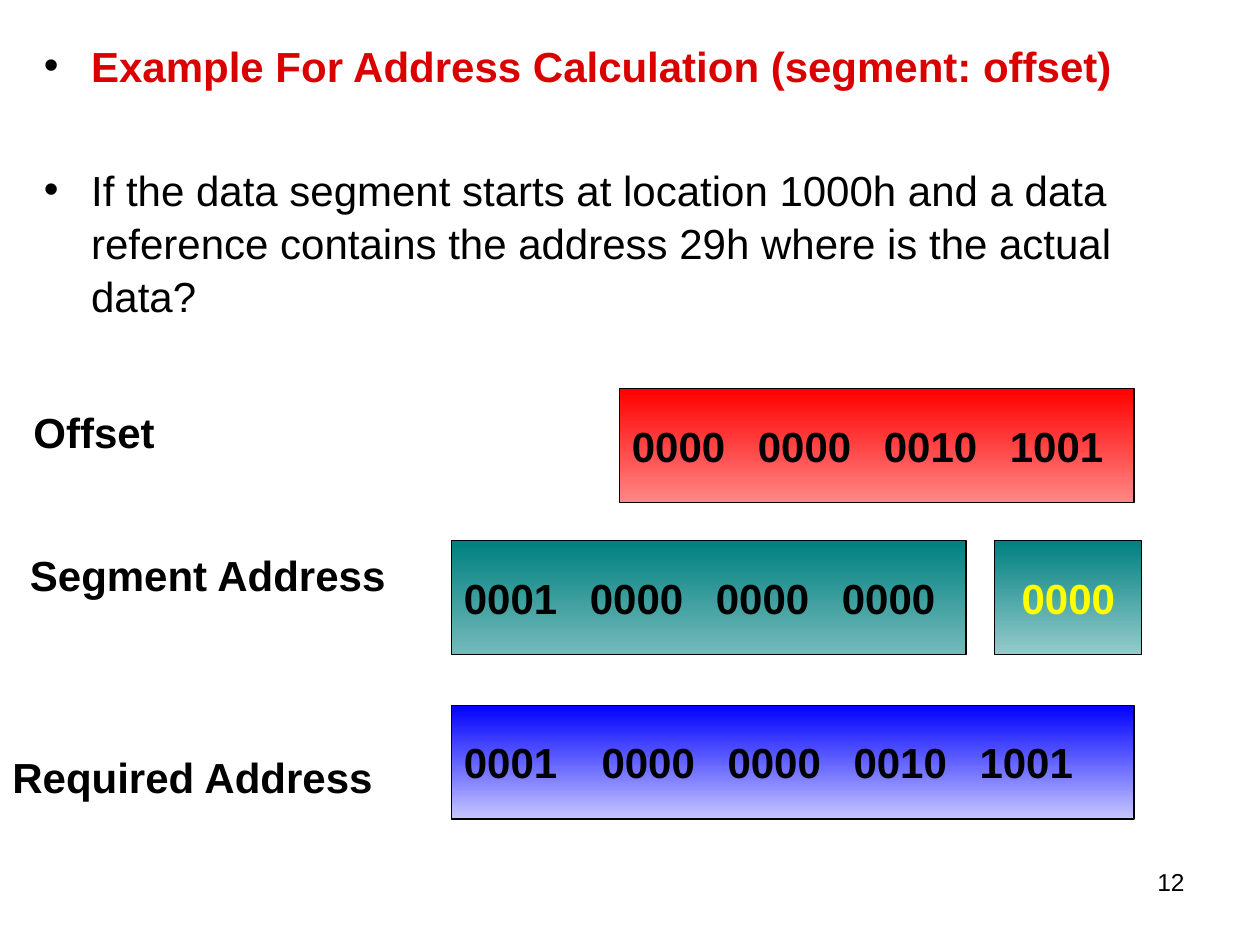
from typing import NamedTuple

from lxml import etree
from pptx import Presentation
from pptx.dml.color import RGBColor
from pptx.enum.shapes import MSO_SHAPE
from pptx.enum.text import MSO_ANCHOR, PP_ALIGN
from pptx.oxml.ns import qn
from pptx.util import Pt

RECTANGLE = MSO_SHAPE.RECTANGLE
MIDDLE = MSO_ANCHOR.MIDDLE
LEFT, CENTER, RIGHT = PP_ALIGN.LEFT, PP_ALIGN.CENTER, PP_ALIGN.RIGHT

COLORS = {
    "black": "000000",
    "heading": "DA0000",
    "yellow": "FFFF00",
    "red": "FF0000",
    "light red": "FF8686",
    "teal": "008080",
    "light teal": "75BABA",
    "pale teal": "96CBCB",
    "blue": "0000FF",
    "light blue": "C6C6FF",
}
TAB_STEP = 72
BULLET_INDENT = 27


class Box(NamedTuple):
    left: float
    top: float
    width: float
    height: float


class Label(NamedTuple):
    text: str
    box: Box


class Register(NamedTuple):
    bits: str
    box: Box
    top_color: str
    bottom_color: str
    text_color: str = "black"
    align: PP_ALIGN = LEFT


class Bullet(NamedTuple):
    text: str
    color: str
    bold: bool
    space_before: float


BULLETS = [
    Bullet("Example For Address Calculation (segment: offset)", "heading", True, 0),
    Bullet(
        "If the data segment starts at location 1000h and a data reference "
        "contains the address 29h where is the actual data?",
        "black", False, 40.7,
    ),
]
LABELS = [
    Label("Required Address", Box(0, 426, 234, 36)),
    Label("Offset", Box(12, 229, 156, 36)),
    Label("Segment Address", Box(10, 310.3, 228, 36)),
]
REGISTERS = [
    Register("0000\t0000\t0010\t1001", Box(354, 222, 294, 65), "red", "light red"),
    Register("0000", Box(568.5, 309, 84, 65), "teal", "pale teal", "yellow", CENTER),
    Register("0001\t 0000\t 0000\t 0010\t 1001", Box(258, 403, 390, 65),
             "blue", "light blue"),
    Register("0001\t0000\t0000\t0000", Box(258, 309, 294, 65), "teal", "light teal"),
]


def rgb(name: str) -> RGBColor:
    return RGBColor.from_string(COLORS[name])


def points(box: Box) -> list:
    return [Pt(length) for length in box]


def write(paragraph, text: str, color: str = "black", **changes) -> None:
    """Fill a paragraph; changes override the default font values."""
    paragraph.add_run().text = text
    font = paragraph.runs[0].font
    values = {"name": "Arial", "size": Pt(24), "bold": True} | changes
    for attribute, value in values.items():
        setattr(font, attribute, value)
    font.color.rgb = rgb(color)


def add_bullet_mark(paragraph) -> None:
    properties = paragraph._p.get_or_add_pPr()
    properties.set("marL", str(Pt(BULLET_INDENT)))
    properties.set("indent", str(-Pt(BULLET_INDENT)))
    mark_color = etree.SubElement(properties, qn("a:buClr"))
    etree.SubElement(mark_color, qn("a:srgbClr"), val=COLORS["black"])
    etree.SubElement(properties, qn("a:buFont"), typeface="Arial")
    etree.SubElement(properties, qn("a:buChar"), char="•")


def add_tab_stops(paragraph, count: int) -> None:
    stops = etree.SubElement(paragraph._p.get_or_add_pPr(), qn("a:tabLst"))
    for number in range(1, count + 1):
        etree.SubElement(stops, qn("a:tab"), pos=str(Pt(number * TAB_STEP)), algn="l")


def add_text_frame(slide, box: Box):
    frame = slide.shapes.add_textbox(*points(box)).text_frame
    frame.word_wrap = True
    return frame


def add_bullets(slide, bullets: list[Bullet], box: Box) -> None:
    frame = add_text_frame(slide, box)
    for index, bullet in enumerate(bullets):
        paragraph = frame.add_paragraph() if index else frame.paragraphs[0]
        add_bullet_mark(paragraph)
        paragraph.line_spacing = 1.05
        if bullet.space_before:
            paragraph.space_before = Pt(bullet.space_before)
        write(paragraph, bullet.text, bullet.color, bold=bullet.bold)


def add_register(slide, register: Register) -> None:
    """Draw a bit field as a gradient box with one nibble per tab stop."""
    shape = slide.shapes.add_shape(RECTANGLE, *points(register.box))
    shape.shadow.inherit = False
    shape.fill.gradient()
    shape.fill.gradient_angle = 270
    for stop, color in zip(shape.fill.gradient_stops,
                           (register.top_color, register.bottom_color)):
        stop.color.rgb = rgb(color)
    shape.line.color.rgb = rgb("black")
    shape.line.width = Pt(0.75)
    shape.text_frame.vertical_anchor = MIDDLE
    shape.text_frame.word_wrap = True
    paragraph = shape.text_frame.paragraphs[0]
    paragraph.alignment = register.align
    if "\t" in register.bits:
        add_tab_stops(paragraph, register.bits.count("\t"))
    write(paragraph, register.bits, register.text_color)


def main() -> None:
    deck = Presentation()
    deck.slide_width, deck.slide_height = Pt(720), Pt(540)
    slide = deck.slides.add_slide(deck.slide_layouts[6])

    add_bullets(slide, BULLETS, Box(18, 18, 684, 504))

    page_number = add_text_frame(slide, Box(516, 492, 168, 37.5)).paragraphs[0]
    page_number.alignment = RIGHT
    write(page_number, "12", size=Pt(14), bold=False)

    for label in LABELS:
        write(add_text_frame(slide, label.box).paragraphs[0], label.text)
    for register in REGISTERS:
        add_register(slide, register)

    deck.save("out.pptx")


if __name__ == "__main__":
    main()
